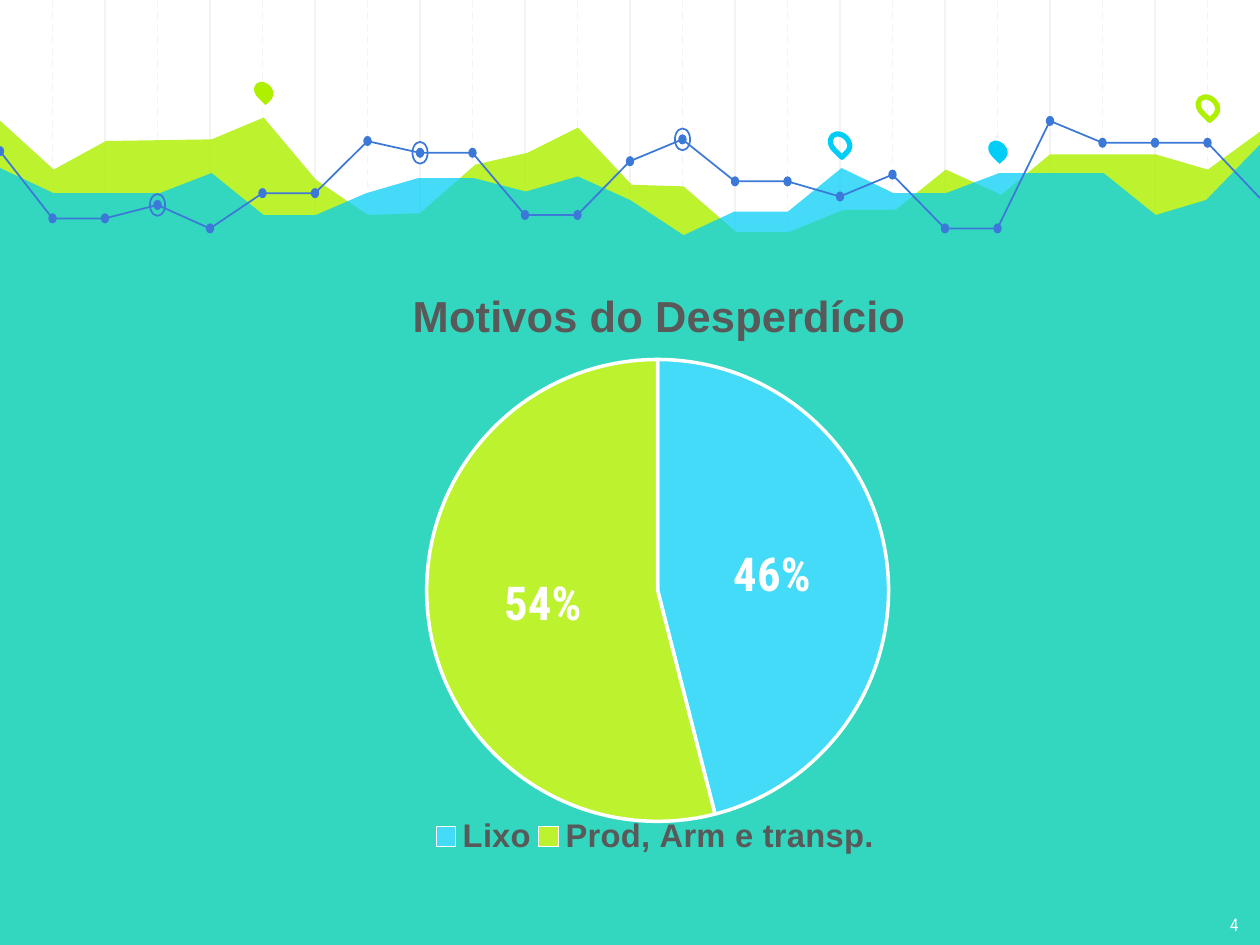
"""Build a slide with a pie of waste causes under a band of trend lines."""
from lxml.etree import SubElement
from pptx import Presentation
from pptx.chart.data import CategoryChartData
from pptx.dml.color import RGBColor
from pptx.enum.chart import XL_CHART_TYPE, XL_LABEL_POSITION, XL_LEGEND_POSITION
from pptx.enum.dml import MSO_LINE
from pptx.enum.shapes import MSO_CONNECTOR, MSO_SHAPE
from pptx.enum.text import MSO_ANCHOR, PP_ALIGN
from pptx.oxml import parse_xml
from pptx.oxml.ns import nsdecls, qn
from pptx.util import Inches, Pt

WHITE = RGBColor(0xFF, 0xFF, 0xFF)
PALE = RGBColor(0xF3, 0xF3, 0xF3)
LIME = RGBColor(0xAF, 0xF0, 0x00)
CYAN = RGBColor(0x00, 0xCE, 0xF6)
BLUE = RGBColor(0x3C, 0x78, 0xD8)
GRAY = RGBColor(0x59, 0x59, 0x59)
SKY = RGBColor(0x44, 0xDB, 0xF8)
GREEN = RGBColor(0xBD, 0xF3, 0x2E)

WIDTH = 7.5
HEIGHT = WIDTH * 3 / 4
STEP = WIDTH / 24
HILLS = [(-0.02, 0.7), (0.32, 1.01), (0.63, 0.84), (1.26, 0.83), (1.57, 0.7),
         (1.88, 1.07), (2.19, 1.28), (2.5, 1.27), (2.83, 0.98), (3.14, 0.91),
         (3.44, 0.76), (3.76, 1.1), (4.07, 1.11), (4.38, 1.38), (4.7, 1.38),
         (5.02, 1.25), (5.33, 1.25), (5.63, 1.01), (5.96, 1.16), (6.25, 0.92),
         (6.88, 0.92), (7.19, 1.01), (7.52, 0.77), (7.53, 5.67), (-0.02, 5.67)]
WAVES = [(-0.02, 0.99), (0.32, 1.15), (0.95, 1.15), (1.26, 1.03), (1.57, 1.28),
         (1.88, 1.28), (2.18, 1.15), (2.49, 1.06), (2.82, 1.06), (3.13, 1.14),
         (3.44, 1.05), (3.75, 1.19), (4.07, 1.4), (4.37, 1.26), (4.69, 1.26),
         (5.01, 1), (5.32, 1.15), (5.63, 1.15), (5.95, 1.03), (6.57, 1.03),
         (6.88, 1.28), (7.18, 1.19), (7.52, 0.84), (7.53, 5.66), (-0.03, 5.66)]
TREND = [0.9, 1.3, 1.3, 1.22, 1.36, 1.15, 1.15, 0.84, 0.91, 0.91, 1.28, 1.28, 0.96,
         0.83, 1.08, 1.08, 1.17, 1.04, 1.36, 1.36, 0.72, 0.85, 0.85, 0.85, 1.18]
PINS = [(1.52, 0.48, LIME, True), (4.95, 0.79, CYAN, False),
        (5.89, 0.83, CYAN, True), (7.14, 0.57, LIME, False)]


class Board:
    """Hold the slide and its style, and draw each kind of element."""

    def __init__(self, deck):
        self.shapes = deck.slides.add_slide(deck.slide_layouts[6]).shapes
        self.face, self.plain = "Roboto Condensed", "Arial"

    def paint(self, shape, fill=None, line=None, width=0.75):
        """Set fill and line, and drop the shadow."""
        shape.shadow.inherit = False
        if fill is None:
            shape.fill.background()
        else:
            shape.fill.solid()
            shape.fill.fore_color.rgb = fill
        if line is None:
            shape.line.fill.background()
        else:
            shape.line.color.rgb = line
            shape.line.width = Pt(width)

    def rule(self, x, dashed):
        """Draw one upright grid line."""
        rule = self.shapes.add_connector(
            MSO_CONNECTOR.STRAIGHT, Inches(x), 0, Inches(x), Inches(HEIGHT))
        rule.line.color.rgb = PALE
        rule.line.width = Pt(0.75)
        if dashed:
            rule.line.dash_style = MSO_LINE.DASH
        SubElement(rule._element.spPr, qn("a:effectLst"))

    def outline(self, points, close):
        """Draw a free outline through the points."""
        spots = [(Inches(x), Inches(y)) for x, y in points]
        maker = self.shapes.build_freeform(*spots[0], scale=1.0)
        maker.add_line_segments(spots[1:], close=close)
        return maker.convert_to_shape()

    def area(self, points, color, alpha):
        """Draw a filled area that lets some of the back show."""
        area = self.outline(points, True)
        self.paint(area, fill=color)
        tint = area._element.spPr.find(qn("a:solidFill"))[0]
        SubElement(tint, qn("a:alpha"), val=str(alpha * 1000))

    def trail(self, points):
        """Draw an open trend line."""
        self.paint(self.outline(points, False), line=BLUE)

    def mark(self, kind, x, y, w, h, **style):
        """Draw a small preset shape."""
        mark = self.shapes.add_shape(kind, Inches(x), Inches(y), Inches(w), Inches(h))
        self.paint(mark, **style)
        return mark

    def oval(self, spot, w, h, **style):
        """Draw an oval centred on a trend point."""
        x, y = spot
        self.mark(MSO_SHAPE.OVAL, x - w / 2, y - h / 2, w, h, **style)

    def pin(self, x, y, color, solid):
        """Draw a map pin, solid or hollow."""
        style = {"fill": color} if solid else {"line": color, "width": 2.25}
        self.mark(MSO_SHAPE.TEAR, x, y, 0.1, 0.13, **style).rotation = 135

    def font(self, font, size, color, name, bold=True):
        """Set the look of a font."""
        font.size, font.name, font.bold = Pt(size), name, bold
        font.color.rgb = color

    def label(self, text, x, y, w, h):
        """Write a small text set to the right."""
        frame = self.shapes.add_textbox(
            Inches(x), Inches(y), Inches(w), Inches(h)).text_frame
        frame.word_wrap = True
        frame.vertical_anchor = MSO_ANCHOR.BOTTOM
        frame.margin_left = frame.margin_right = Inches(0.1)
        frame.margin_top = frame.margin_bottom = Inches(0.1)
        line = frame.paragraphs[0]
        line.text, line.alignment = text, PP_ALIGN.RIGHT
        self.font(line.font, 7.5, WHITE, self.face, False)

    def place(self, part, index, box, target="", **spots):
        """Fix a chart part by inches from the corner of the chart box."""
        for old in part.findall(qn("c:layout")):
            part.remove(old)
        inner = f'<c:layoutTarget val="{target}"/>' if target else ""
        modes = "".join(f'<c:{key}Mode val="edge"/>' for key in "xy")
        whole = {"x": box[2], "y": box[3], "w": box[2], "h": box[3]}
        sizes = "".join(f'<c:{key} val="{val / whole[key]:.4f}"/>'
                        for key, val in spots.items())
        part.insert(index, parse_xml(
            f'<c:layout {nsdecls("c")}><c:manualLayout>{inner}{modes}{sizes}'
            "</c:manualLayout></c:layout>"))

    def pie(self, title, names, values, colors, box):
        """Draw a pie chart with a title, labels and a legend."""
        data = CategoryChartData()
        data.categories = names
        data.add_series(title, values)
        chart = self.shapes.add_chart(
            XL_CHART_TYPE.PIE, *(Inches(n) for n in box), data).chart
        chart.font.size, chart.font.name = Pt(10), self.plain
        chart.has_title = chart.has_legend = True
        head = chart.chart_title.text_frame
        head.text = title
        self.font(head.paragraphs[0].font, 18.6, GRAY, self.plain)
        legend = chart.legend
        legend.position = XL_LEGEND_POSITION.BOTTOM
        legend.include_in_layout = False
        self.font(legend.font, 14, GRAY, self.plain)
        chart.plots[0].vary_by_categories = True
        series = chart.plots[0].series[0]
        labels = series.data_labels
        labels.show_value = True
        labels.position = XL_LABEL_POSITION.CENTER
        self.font(labels.font, 20, WHITE, self.face)
        for index, color in enumerate(colors):
            point = series.points[index]
            form = point.format
            form.fill.solid()
            form.fill.fore_color.rgb = color
            form.line.color.rgb = WHITE
            form.line.width = Pt(1.5)
            run = point.data_label.text_frame.paragraphs[0].add_run()
            run.text = f"{values[index]}%"
            self.font(run.font, 20, WHITE, self.face)
            point.data_label.position = XL_LABEL_POSITION.CENTER
        self.place(chart.chart_title._element, 1, box, x=1.59, y=0.24)
        self.place(legend._element, 1, box, x=1.73, y=3.42, w=2.7, h=0.28)
        area = chart._chartSpace.chart.plotArea
        self.place(area, 0, box, "inner", x=1.72, y=0.72, w=2.75, h=2.75)


def main():
    """Draw the slide and save it."""
    deck = Presentation()
    deck.slide_width, deck.slide_height = Inches(WIDTH), Inches(HEIGHT)
    board = Board(deck)
    for first in (2, 1):
        for index in range(first, 24, 2):
            board.rule(index * STEP, first == 1)
    board.area(HILLS, LIME, 82)
    board.area(WAVES, CYAN, 73)
    for pin in PINS:
        board.pin(*pin)
    spots = [(index * STEP, y) for index, y in enumerate(TREND)]
    for first, last in ((0, 11), (11, 20), (20, 24)):
        board.trail(spots[first:last + 1])
    for spot in spots[:-1]:
        board.oval(spot, 0.05, 0.06, fill=BLUE)
    for index in (3, 8, 13):
        board.oval(spots[index], 0.09, 0.13, line=BLUE)
    board.label("4", 7.02, 5.28, 0.45, 0.35)
    board.pie("Motivos do Desperdício", ["Lixo", "Prod, Arm e transp."],
              [46, 54], [SKY, GREEN], (0.82, 1.42, 6.2, 3.98))
    deck.save("out.pptx")


if __name__ == "__main__":
    main()
